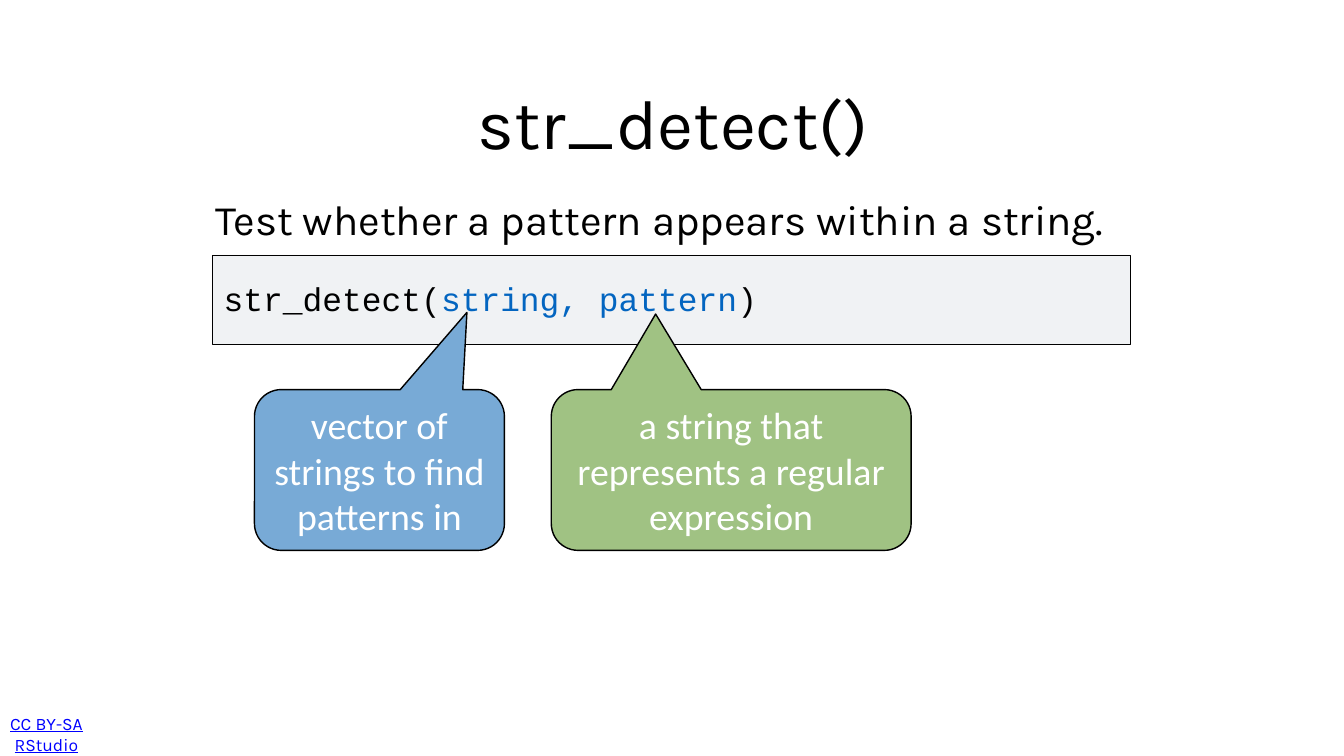
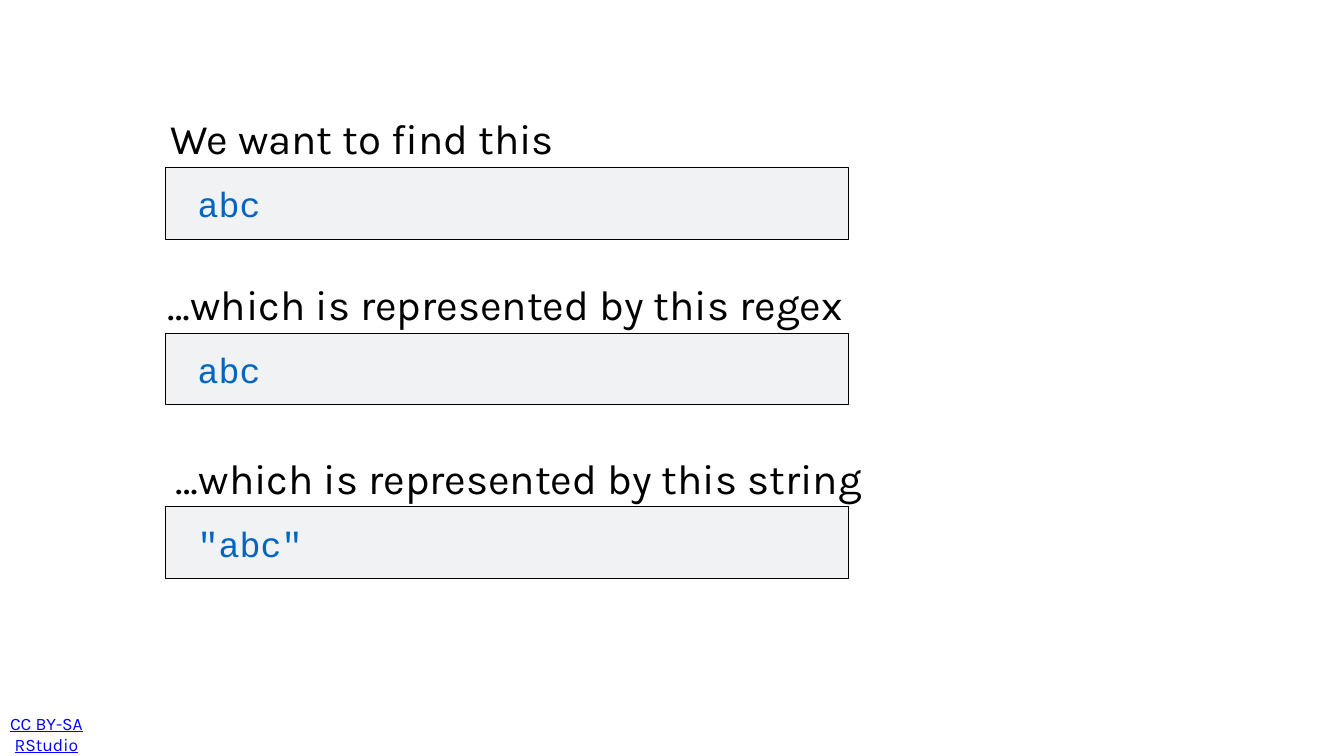
"""Build two slides that explain str_detect() and regular expressions."""
from typing import NamedTuple

from pptx import Presentation
from pptx import slide as sl
from pptx import util as u
from pptx.dml import color
from pptx.enum import shapes, text
from pptx.shapes import autoshape

BLACK = color.RGBColor(0x00, 0x00, 0x00)
WHITE = color.RGBColor(0xFF, 0xFF, 0xFF)
LINK_BLUE = color.RGBColor(0x00, 0x00, 0xFF)
CODE_BLUE = color.RGBColor(0x03, 0x65, 0xC0)
CODE_GREY = color.RGBColor(0xF0, 0xF2, 0xF4)
CALLOUT_BLUE = color.RGBColor(0x78, 0xAA, 0xD6)
CALLOUT_GREEN = color.RGBColor(0xA0, 0xC2, 0x83)

BODY_FONT = "Karla"
CODE_FONT = "Courier New"
CALLOUT_FONT = "Calibri"

TITLE_ONLY, BLANK = 5, 6
SHAPE = shapes.MSO_SHAPE
ALIGN = text.PP_ALIGN
ANCHOR = text.MSO_ANCHOR


class Box(NamedTuple):
    """A rectangle in inches."""

    left: float
    top: float
    width: float
    height: float

    def lengths(self) -> list[u.Length]:
        """Return the four sides as lengths."""
        return [u.Inches(side) for side in self]


class Run(NamedTuple):
    """A piece of text in one colour."""

    content: str
    colour: color.RGBColor = BLACK


class Callout(NamedTuple):
    """A speech bubble that points at an argument."""

    content: str
    box: Box
    fill: color.RGBColor
    tip: tuple[float, float]


class Step(NamedTuple):
    """A caption with a code panel below it."""

    caption: str
    caption_left: float
    code: str
    panel_top: float


CALLOUTS = [
    Callout("vector of strings to find patterns in",
            Box(5.05, 7.73, 4.96, 3.19), CALLOUT_BLUE, (0.35, -0.98)),
    Callout("a string that represents a regular expression",
            Box(10.94, 7.73, 7.14, 3.19), CALLOUT_GREEN, (-0.21, -0.97)),
]

STEPS = [
    Step("We want to find this", 3.32, "abc", 3.32),
    Step("…which is represented by this regex", 3.27, "abc", 6.61),
    Step("…which is represented by this string", 3.43, '"abc"', 10.05),
]


def write(shape: autoshape.Shape, *runs: Run, font: str = BODY_FONT, size: float = 60,
          align: ALIGN = ALIGN.LEFT, anchor: ANCHOR = ANCHOR.MIDDLE,
          inset: float = 0.06, indent: float = 0, underline: bool = False) -> None:
    """Fill a shape with one paragraph of formatted runs."""
    frame = shape.text_frame
    frame.word_wrap = True
    frame.auto_size = text.MSO_AUTO_SIZE.NONE
    frame.vertical_anchor = anchor
    frame.margin_left = u.Inches(inset + indent)
    frame.margin_top = frame.margin_right = frame.margin_bottom = u.Inches(inset)
    paragraph = frame.paragraphs[0]
    paragraph.alignment = align
    for content, colour in runs:
        run = paragraph.add_run()
        run.text = content
        run.font.name = font
        run.font.size = u.Pt(size)
        run.font.underline = underline
        run.font.color.rgb = colour


def add_label(slide: sl.Slide, box: Box, *runs: Run, **style) -> None:
    """Add a text box."""
    write(slide.shapes.add_textbox(*box.lengths()), *runs, **style)


def add_outlined(slide: sl.Slide, kind: SHAPE, box: Box, fill: color.RGBColor,
                 line_width: float) -> autoshape.Shape:
    """Add a filled shape with a black outline."""
    shape = slide.shapes.add_shape(kind, *box.lengths())
    shape.shadow.inherit = False
    shape.fill.solid()
    shape.fill.fore_color.rgb = fill
    shape.line.color.rgb = BLACK
    shape.line.width = u.Pt(line_width)
    return shape


def add_code(slide: sl.Slide, panel: Box, drop: float, *runs: Run,
             size: float, indent: float = 0) -> None:
    """Add a grey panel with a line of code over it."""
    add_outlined(slide, SHAPE.RECTANGLE, panel, CODE_GREY, 1)
    code_box = Box(panel.left + 0.16, panel.top + drop, panel.width - 0.32, 1.05)
    add_label(slide, code_box, *runs, font=CODE_FONT, size=size,
              anchor=ANCHOR.TOP, indent=indent)


def add_callout(slide: sl.Slide, callout: Callout) -> None:
    """Add a rounded speech bubble."""
    shape = add_outlined(slide, SHAPE.ROUNDED_RECTANGULAR_CALLOUT, callout.box,
                         callout.fill, 2)
    for index, offset in enumerate(callout.tip):
        shape.adjustments[index] = offset
    write(shape, Run(callout.content, WHITE), font=CALLOUT_FONT, size=54,
          align=ALIGN.CENTER, inset=0.08)


def add_slide(presentation: Presentation, layout: int) -> sl.Slide:
    """Add a slide with the licence line in its corner."""
    slide = presentation.slides.add_slide(presentation.slide_layouts[layout])
    add_label(slide, Box(0.12, 14.14, 1.6, 0.84), Run("CC BY-SA RStudio", LINK_BLUE),
              size=25, align=ALIGN.CENTER, inset=0, underline=True)
    return slide


def build_function_slide(presentation: Presentation) -> None:
    """Show the signature of str_detect() and its arguments."""
    slide = add_slide(presentation, TITLE_ONLY)
    title = slide.shapes.title
    title.left, title.top, title.width, title.height = Box(4.4, 1.1, 17.9, 2.62).lengths()
    write(title, Run("str_detect()"), size=100, align=ALIGN.CENTER)
    add_label(slide, Box(4.22, 3.55, 18.23, 1.56),
              Run("Test whether a pattern appears within a string."))
    add_code(slide, Box(4.22, 5.06, 18.22, 1.77), 0.4, Run("str_detect("),
             Run("string, pattern", CODE_BLUE), Run(")"), size=47)
    for callout in CALLOUTS:
        add_callout(slide, callout)


def build_regex_slide(presentation: Presentation) -> None:
    """Show how text, regex and string correspond."""
    slide = add_slide(presentation, BLANK)
    for step in STEPS:
        add_code(slide, Box(3.28, step.panel_top, 13.56, 1.42), 0.25,
                 Run(step.code, CODE_BLUE), size=50, indent=0.42)
        add_label(slide, Box(step.caption_left, step.panel_top - 1.16, 19.4, 1.16),
                  Run(step.caption))


def main() -> None:
    """Build and save the presentation."""
    presentation = Presentation()
    presentation.slide_width = u.Inches(26.67)
    presentation.slide_height = u.Inches(15)
    build_function_slide(presentation)
    build_regex_slide(presentation)
    presentation.save("out.pptx")


if __name__ == "__main__":
    main()
